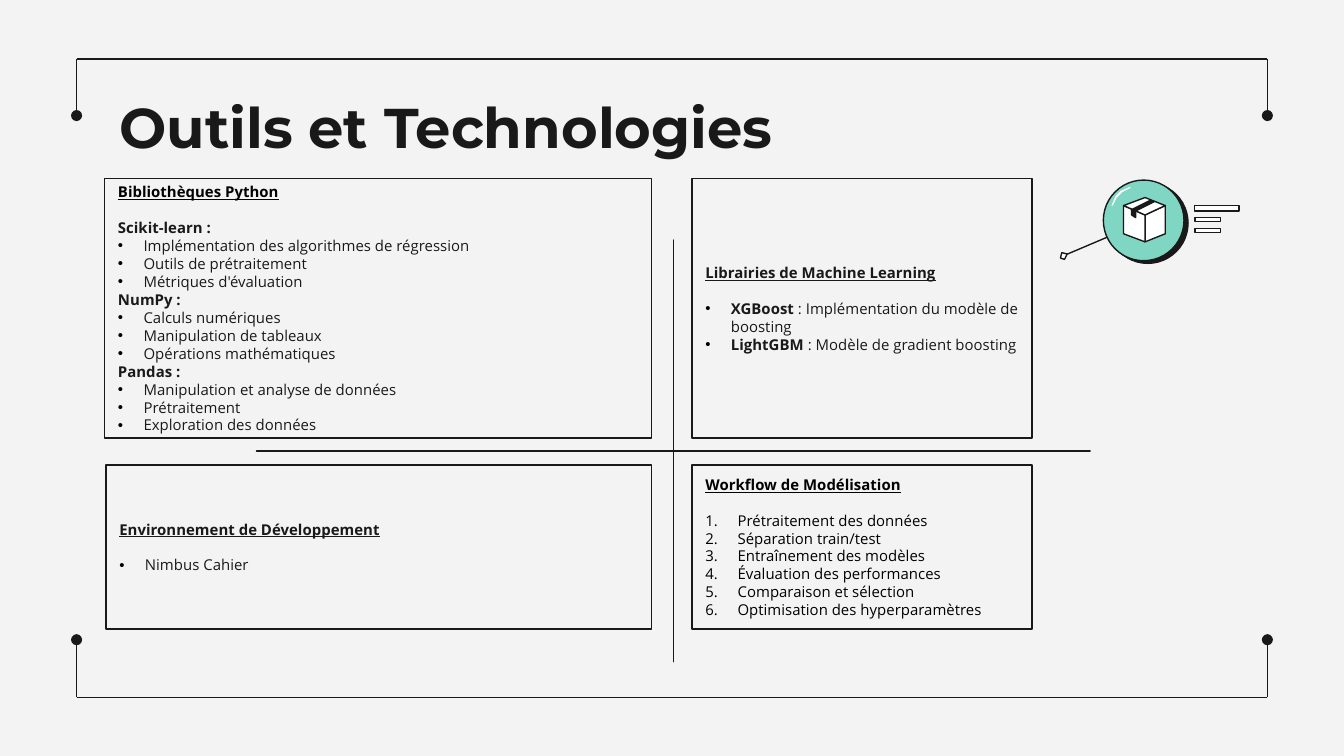
from lxml import etree
from pptx import Presentation
from pptx.dml.color import RGBColor
from pptx.enum.shapes import MSO_CONNECTOR, MSO_SHAPE
from pptx.enum.text import MSO_ANCHOR, PP_ALIGN
from pptx.oxml.ns import qn
from pptx.util import Inches, Pt

STRAIGHT = MSO_CONNECTOR.STRAIGHT
RECTANGLE, OVAL, PLUS = MSO_SHAPE.RECTANGLE, MSO_SHAPE.OVAL, MSO_SHAPE.MATH_PLUS
LEFT, JUSTIFY = PP_ALIGN.LEFT, PP_ALIGN.JUSTIFY
TOP, MIDDLE = MSO_ANCHOR.TOP, MSO_ANCHOR.MIDDLE

SLIDE_WIDTH = Inches(10)
SLIDE_HEIGHT = SLIDE_WIDTH * 9 // 16

THEME = {
    "background": "F3F3F3", "ink": "191919", "black": "000000",
    "white": "FFFFFF", "mint": "7FD6C3",
    "title_font": "Montserrat", "body_font": "Open Sans", "bullet_font": "Arial",
    "title_size": 30, "body_size": 8, "body_leading": 9.6, "line": 0.75,
}

TITLE = "Outils et Technologies"

# Items: (kind, bold part, regular part)
PANELS = [
    {"box": (0.79, 3.46, 4.06, 1.22), "heading": "Environnement de Développement",
     "items": [("bullet", "", "Nimbus Cahier")]},
    {"box": (5.15, 3.46, 2.53, 1.22), "heading": "Workflow de Modélisation",
     "heading_color": "black", "color": "black",
     "items": [("number", "", step) for step in (
         "Prétraitement des données", "Séparation train/test",
         "Entraînement des modèles", "Évaluation des performances",
         "Comparaison et sélection", "Optimisation des hyperparamètres")]},
    {"box": (0.78, 1.33, 4.07, 1.93), "heading": "Bibliothèques Python",
     "heading_color": "black", "align": JUSTIFY,
     "items": [
         ("plain", "Scikit-learn :", ""),
         ("bullet", "", "Implémentation des algorithmes de régression"),
         ("bullet", "", "Outils de prétraitement"),
         ("bullet", "", "Métriques d'évaluation"),
         ("plain", "NumPy :", ""),
         ("bullet", "", "Calculs numériques"),
         ("bullet", "", "Manipulation de tableaux"),
         ("bullet", "", "Opérations mathématiques"),
         ("plain", "Pandas :", ""),
         ("bullet", "", "Manipulation et analyse de données"),
         ("bullet", "", "Prétraitement"),
         ("bullet", "", "Exploration des données")]},
    {"box": (5.15, 1.33, 2.53, 1.93), "heading": "Librairies de Machine Learning",
     "items": [
         ("bullet", "XGBoost", " : Implémentation du modèle de boosting"),
         ("bullet", "LightGBM", " : Modèle de gradient boosting")]},
]

# Kind: (list element, attributes, indent, marker font)
LISTS = {
    "bullet": ("a:buChar", {"char": "•"}, 0.19, "bullet_font"),
    "number": ("a:buAutoNum", {"type": "arabicPeriod"}, 0.24, "body_font"),
}

FRAME_LEFT, FRAME_RIGHT = 0.57, 9.43
FRAME_SIDES = [(0.44, 0.86), (5.19, 4.76)]  # edge, end of the corner posts

TEXT_BARS = [(8.89, 1.53, 0.33, 0.04), (8.89, 1.62, 0.19, 0.03), (8.89, 1.70, 0.19, 0.03)]
DISCS = [((8.24, 1.36, 0.60, 0.60), "ink"), ((8.21, 1.34, 0.60, 0.60), "mint")]
PARCEL = [
    ("white", [(8.67, 1.53), (8.67, 1.74), (8.52, 1.80), (8.52, 1.60)]),
    ("white", [(8.36, 1.53), (8.52, 1.60), (8.52, 1.80), (8.36, 1.74)]),
    ("white", [(8.52, 1.47), (8.67, 1.53), (8.52, 1.60), (8.36, 1.53)]),
    ("ink", [(8.42, 1.56), (8.45, 1.57), (8.45, 1.62), (8.42, 1.60)]),
    ("ink", [(8.56, 1.49), (8.59, 1.50), (8.45, 1.57), (8.42, 1.56)]),
]
HANDLE = [(7.90, 1.88), (7.94, 1.89), (7.92, 1.93), (7.89, 1.92)]
GLINT = [(8.41, 1.39), (8.41, 1.40), (8.35, 1.43), (8.31, 1.47), (8.28, 1.53),
         (8.27, 1.53), (8.30, 1.46), (8.34, 1.42)]


def color(name):
    return RGBColor.from_string(THEME[name])


def style(shape, fill=None, line="ink"):
    shape.shadow.inherit = False
    if fill:
        shape.fill.solid()
        shape.fill.fore_color.rgb = color(fill)
    else:
        shape.fill.background()
    if line:
        shape.line.color.rgb = color(line)
        shape.line.width = Pt(THEME["line"])
    else:
        shape.line.fill.background()
    return shape


def add_preset(slide, preset, box, fill=None):
    return style(slide.shapes.add_shape(preset, *map(Inches, box)), fill)


def add_polygon(slide, points, fill, line="ink"):
    start, *others = [(Inches(x), Inches(y)) for x, y in points]
    builder = slide.shapes.build_freeform(*start)
    builder.add_line_segments(others, close=True)
    return style(builder.convert_to_shape(), fill, line)


def add_line(slide, start, end, dot=False):
    line = slide.shapes.add_connector(STRAIGHT, *map(Inches, (*start, *end)))
    line.line.color.rgb = color("ink")
    line.line.width = Pt(THEME["line"])
    if dot:
        etree.SubElement(line.line._get_or_add_ln(), qn("a:tailEnd"), type="oval")
    etree.SubElement(line._element.spPr, qn("a:effectLst"))


def set_list(paragraph, kind):
    tag, attributes, indent, marker_font = LISTS[kind]
    properties = paragraph._p.get_or_add_pPr()
    properties.set("marL", str(Inches(indent)))
    properties.set("indent", str(-Inches(indent)))
    bullet_color = etree.SubElement(properties, qn("a:buClr"))
    etree.SubElement(bullet_color, qn("a:srgbClr"), val=THEME["black"])
    etree.SubElement(properties, qn("a:buFont"), typeface=THEME[marker_font])
    etree.SubElement(properties, qn(tag), attributes)


def set_font(font, family, size, color_name):
    font.name, font.size = THEME[family], Pt(THEME[size])
    font.color.rgb = color(color_name)


def prepare_frame(shape, anchor):
    frame = shape.text_frame
    frame.word_wrap = True
    frame.vertical_anchor = anchor
    frame.margin_left = frame.margin_right = Inches(0.1)
    frame.margin_top = frame.margin_bottom = Inches(0.1)
    return frame


def add_panel(slide, panel):
    frame = prepare_frame(add_preset(slide, RECTANGLE, panel["box"]), MIDDLE)
    leading = Pt(THEME["body_leading"])
    align = panel.get("align", LEFT)

    heading = frame.paragraphs[0]
    heading.text = panel["heading"]
    heading.alignment, heading.line_spacing, heading.space_after = align, leading, leading
    set_font(heading.font, "body_font", "body_size", panel.get("heading_color", "ink"))
    heading.font.bold = heading.font.underline = True

    for kind, bold_text, regular_text in panel["items"]:
        paragraph = frame.add_paragraph()
        paragraph.alignment, paragraph.line_spacing = align, leading
        if kind in LISTS:
            set_list(paragraph, kind)
        set_font(paragraph.font, "body_font", "body_size", panel.get("color", "ink"))
        for text, bold in ((bold_text, True), (regular_text, False)):
            if text:
                run = paragraph.add_run()
                run.text, run.font.bold = text, bold


def add_frame(slide):
    for edge, post_end in FRAME_SIDES:
        add_line(slide, (FRAME_LEFT, edge), (FRAME_RIGHT, edge))
        for x in (FRAME_LEFT, FRAME_RIGHT):
            add_line(slide, (x, edge), (x, post_end), dot=True)


def add_title(slide):
    box = slide.shapes.add_textbox(*map(Inches, (0.79, 0.59, 8.43, 0.63)))
    paragraph = prepare_frame(box, TOP).paragraphs[0]
    paragraph.text = TITLE
    set_font(paragraph.font, "title_font", "title_size", "ink")
    paragraph.font.bold = True


def add_parcel_icon(slide):
    for bar in TEXT_BARS:
        add_preset(slide, RECTANGLE, bar, "white")
    add_line(slide, (8.25, 1.76), (7.92, 1.90))
    add_polygon(slide, HANDLE, "white")
    for box, fill in DISCS:
        add_preset(slide, OVAL, box, fill)
    add_polygon(slide, GLINT, "white", line=None)
    for fill, points in PARCEL:
        add_polygon(slide, points, fill)


def main():
    presentation = Presentation()
    presentation.slide_width, presentation.slide_height = SLIDE_WIDTH, SLIDE_HEIGHT
    slide = presentation.slides.add_slide(presentation.slide_layouts[6])
    slide.background.fill.solid()
    slide.background.fill.fore_color.rgb = color("background")

    add_frame(slide)
    add_title(slide)
    divider = add_preset(slide, PLUS, (0.79, 1.22, 8.44, 4.27))
    divider.adjustments[0] = 0
    for panel in PANELS:
        add_panel(slide, panel)
    add_parcel_icon(slide)
    presentation.save("out.pptx")


if __name__ == "__main__":
    main()
